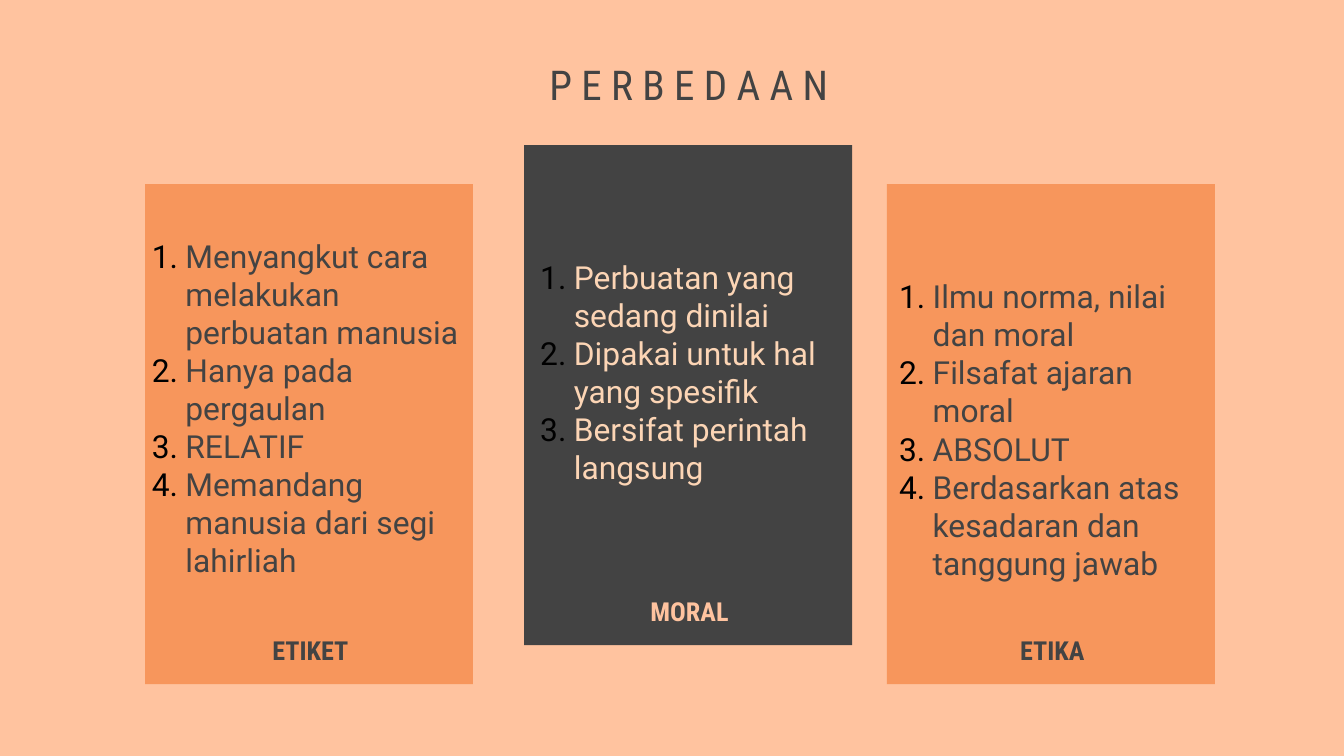
from lxml.etree import SubElement
from pptx import Presentation
from pptx.dml.color import RGBColor
from pptx.enum.shapes import MSO_SHAPE
from pptx.enum.text import MSO_ANCHOR, PP_ALIGN
from pptx.oxml.ns import qn
from pptx.util import Inches, Pt

COLORS = {
    "background": "FFC39F",
    "orange": "F7965C",
    "dark": "434343",
    "peach": "FCD5B5",
    "number": "000000",
}
FORMATS = {
    "title": {"name": "Roboto Condensed", "size": Pt(22), "bold": False},
    "label": {"name": "Roboto Condensed", "size": Pt(14), "bold": True},
    "list": {"name": "Roboto", "size": Pt(17), "bold": False},
}
CARD_WIDTH, CARD_HEIGHT = 2.44, 3.72
LABEL_LEFT, LABEL_TOP = 0.59, 3.28
CARDS = [
    {
        "label": "ETIKET", "corner": (1.08, 1.37), "list_corner": (1.13, 1.75),
        "fill": "orange", "label_color": "dark", "list_color": "dark",
        "items": [
            "Menyangkut cara melakukan perbuatan manusia",
            "Hanya pada pergaulan",
            "RELATIF",
            "Memandang manusia dari segi lahirliah",
        ],
    },
    {
        "label": "MORAL", "corner": (3.9, 1.08), "list_corner": (4.02, 1.48),
        "fill": "dark", "label_color": "background", "list_color": "peach",
        "items": [
            "Perbuatan yang sedang dinilai",
            "Dipakai untuk hal yang spesifik",
            "Bersifat perintah langsung",
        ],
    },
    {
        "label": "ETIKA", "corner": (6.6, 1.37), "list_corner": (6.69, 1.91),
        "fill": "orange", "label_color": "dark", "list_color": "dark",
        "items": [
            "Ilmu norma, nilai dan moral",
            "Filsafat ajaran moral",
            "ABSOLUT",
            "Berdasarkan atas kesadaran dan tanggung jawab",
        ],
    },
]


class SlideBuilder:
    """Holds the slide and draws styled elements on it."""

    def __init__(self, slide):
        self.slide = slide

    def paint(self, fill, color):
        fill.solid()
        fill.fore_color.rgb = RGBColor.from_string(COLORS[color])

    def background(self, color):
        self.paint(self.slide.background.fill, color)

    def panel(self, box, color):
        shape = self.slide.shapes.add_shape(MSO_SHAPE.RECTANGLE, *map(Inches, box))
        shape.shadow.inherit = False
        self.paint(shape.fill, color)
        shape.line.fill.background()

    def frame(self, box, anchor, margin_top):
        frame = self.slide.shapes.add_textbox(*map(Inches, box)).text_frame
        values = {
            "word_wrap": True, "vertical_anchor": anchor,
            "margin_left": 0, "margin_right": 0, "margin_bottom": 0,
            "margin_top": Inches(margin_top),
        }
        for name, value in values.items():
            setattr(frame, name, value)
        return frame

    def style(self, paragraph, style, color):
        for name, value in FORMATS[style].items():
            setattr(paragraph.font, name, value)
        paragraph.font.color.rgb = RGBColor.from_string(COLORS[color])

    def text(self, box, text, style, color, anchor=MSO_ANCHOR.TOP, margin_top=0):
        paragraph = self.frame(box, anchor, margin_top).paragraphs[0]
        paragraph.text = text
        paragraph.alignment = PP_ALIGN.CENTER
        self.style(paragraph, style, color)

    def number(self, paragraph):
        properties = paragraph._p.get_or_add_pPr()
        properties.set("marL", str(Inches(0.25)))
        properties.set("indent", str(Inches(-0.25)))
        bullet_color = SubElement(properties, qn("a:buClr"))
        SubElement(bullet_color, qn("a:srgbClr"), val=COLORS["number"])
        SubElement(properties, qn("a:buFont"), typeface=FORMATS["list"]["name"])
        SubElement(properties, qn("a:buAutoNum"), type="arabicPeriod")

    def numbered_list(self, box, items, color):
        frame = self.frame(box, MSO_ANCHOR.MIDDLE, 0.01)
        for index, item in enumerate(items):
            paragraph = frame.add_paragraph() if index else frame.paragraphs[0]
            paragraph.text = item
            self.number(paragraph)
            self.style(paragraph, "list", color)

    def card(self, card):
        left, top = card["corner"]
        self.panel((left, top, CARD_WIDTH, CARD_HEIGHT), card["fill"])
        self.text((left + LABEL_LEFT, top + LABEL_TOP, 1.28, 0.31),
                  card["label"], "label", card["label_color"], margin_top=0.07)
        self.numbered_list((*card["list_corner"], 2.33, 2.56),
                           card["items"], card["list_color"])


def main():
    presentation = Presentation()
    presentation.slide_width = Inches(10)
    presentation.slide_height = Inches(10) * 9 // 16
    builder = SlideBuilder(presentation.slides.add_slide(presentation.slide_layouts[6]))
    builder.background("background")
    builder.text((0.45, 0.37, 9.35, 0.44), "P E R B E D A A N", "title", "dark",
                 anchor=MSO_ANCHOR.BOTTOM)
    for card in CARDS:
        builder.card(card)
    presentation.save("out.pptx")


if __name__ == "__main__":
    main()
